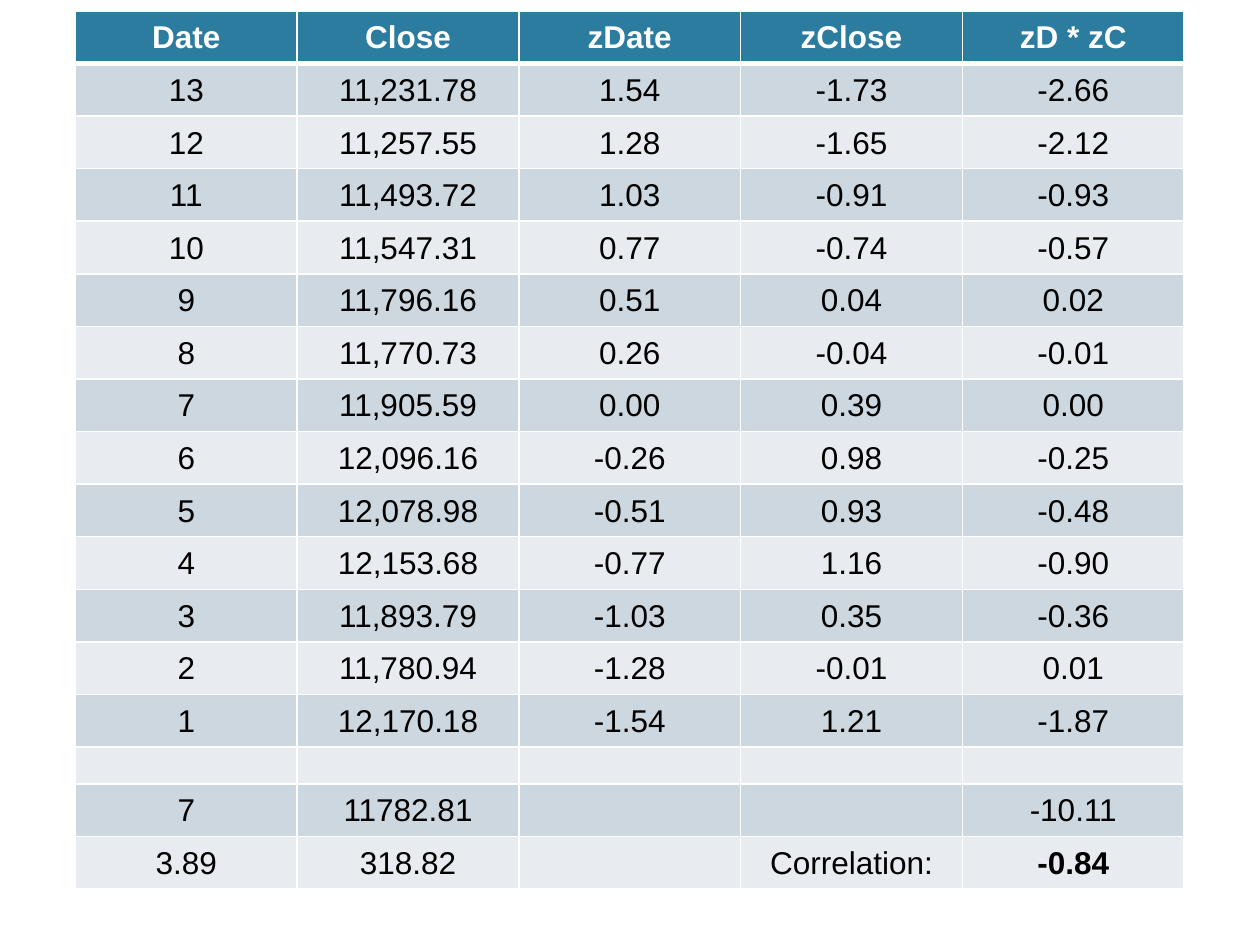
from lxml import etree
from pptx import Presentation
from pptx import util as u
from pptx.dml.color import RGBColor
from pptx.enum import text
from pptx.oxml import ns

TEAL = RGBColor(0x2C, 0x7C, 0x9F)
BAND_DARK = RGBColor(0xCD, 0xD7, 0xDF)
BAND_LIGHT = RGBColor(0xE8, 0xEC, 0xF0)
WHITE = RGBColor(0xFF, 0xFF, 0xFF)
BLACK = RGBColor(0x00, 0x00, 0x00)

ROWS = [
    ("Date", "Close", "zDate", "zClose", "zD * zC"),
    ("13", "11,231.78", "1.54", "-1.73", "-2.66"),
    ("12", "11,257.55", "1.28", "-1.65", "-2.12"),
    ("11", "11,493.72", "1.03", "-0.91", "-0.93"),
    ("10", "11,547.31", "0.77", "-0.74", "-0.57"),
    ("9", "11,796.16", "0.51", "0.04", "0.02"),
    ("8", "11,770.73", "0.26", "-0.04", "-0.01"),
    ("7", "11,905.59", "0.00", "0.39", "0.00"),
    ("6", "12,096.16", "-0.26", "0.98", "-0.25"),
    ("5", "12,078.98", "-0.51", "0.93", "-0.48"),
    ("4", "12,153.68", "-0.77", "1.16", "-0.90"),
    ("3", "11,893.79", "-1.03", "0.35", "-0.36"),
    ("2", "11,780.94", "-1.28", "-0.01", "0.01"),
    ("1", "12,170.18", "-1.54", "1.21", "-1.87"),
    ("", "", "", "", ""),
    ("7", "11782.81", "", "", "-10.11"),
    ("3.89", "318.82", "", "Correlation:", "-0.84"),
]


def write_text(frame, words, *, font, size, color, bold=False):
    paragraph = frame.paragraphs[0]
    paragraph.alignment = text.PP_ALIGN.CENTER
    if words:
        run = paragraph.add_run()
        run.text = words
        run.font.name = font
        run.font.size = u.Pt(size)
        run.font.bold = bold
        run.font.color.rgb = color
    else:
        # The end mark sets the line height of an empty cell
        end = etree.SubElement(paragraph._p, ns.qn("a:endParaRPr"), sz=str(size * 100))
        etree.SubElement(end, ns.qn("a:latin"), typeface=font)


def set_borders(cell, color, widths):
    """Draw the cell's edges; widths maps L, R, T and B to points."""
    properties = cell._tc.get_or_add_tcPr()
    for position, side in enumerate("LRTB"):
        line = etree.Element(ns.qn(f"a:ln{side}"), w=str(u.Pt(widths[side])))
        fill = etree.SubElement(line, ns.qn("a:solidFill"))
        etree.SubElement(fill, ns.qn("a:srgbClr"), val=str(color))
        properties.insert(position, line)


class SlideBuilder:
    def __init__(self, presentation, font="Arial", size=18):
        self.font = font
        self.size = size
        self.slide = presentation.slides.add_slide(presentation.slide_layouts[6])

    def table(self, rows, left, top, column_width, row_height, gap_height):
        heights = [row_height if any(row) else gap_height for row in rows]
        columns = len(rows[0])
        table = self.slide.shapes.add_table(
            len(rows), columns, u.Cm(left), u.Cm(top),
            u.Cm(column_width * columns), u.Cm(sum(heights))).table
        for column in table.columns:
            column.width = u.Cm(column_width)
        for index, (row, height) in enumerate(zip(rows, heights)):
            table.rows[index].height = u.Cm(height)
            for column, words in enumerate(row):
                is_result = index == len(rows) - 1 and column == columns - 1
                self.cell(table.cell(index, column), words, index, is_result)

    def cell(self, cell, words, row, is_result):
        is_header = row == 0
        cell.vertical_anchor = text.MSO_ANCHOR.MIDDLE
        cell.margin_left = cell.margin_right = cell.margin_top = u.Cm(0.03)
        cell.margin_bottom = 0
        cell.fill.solid()
        cell.fill.fore_color.rgb = (
            TEAL if is_header else BAND_DARK if row % 2 else BAND_LIGHT)
        set_borders(cell, WHITE, {"L": 1, "R": 1, "T": 3 if row == 1 else 1,
                                  "B": 3 if is_header else 1})
        write_text(cell.text_frame, words, font=self.font, size=self.size,
                   color=WHITE if is_header else BLACK,
                   bold=is_header or is_result)


def main():
    presentation = Presentation()
    presentation.slide_width = u.Cm(25.4)
    presentation.slide_height = u.Cm(19.05)
    builder = SlideBuilder(presentation)
    builder.table(ROWS, left=1.52, top=0.22, column_width=4.47,
                  row_height=1.06, gap_height=0.38)
    presentation.save("out.pptx")


if __name__ == "__main__":
    main()
